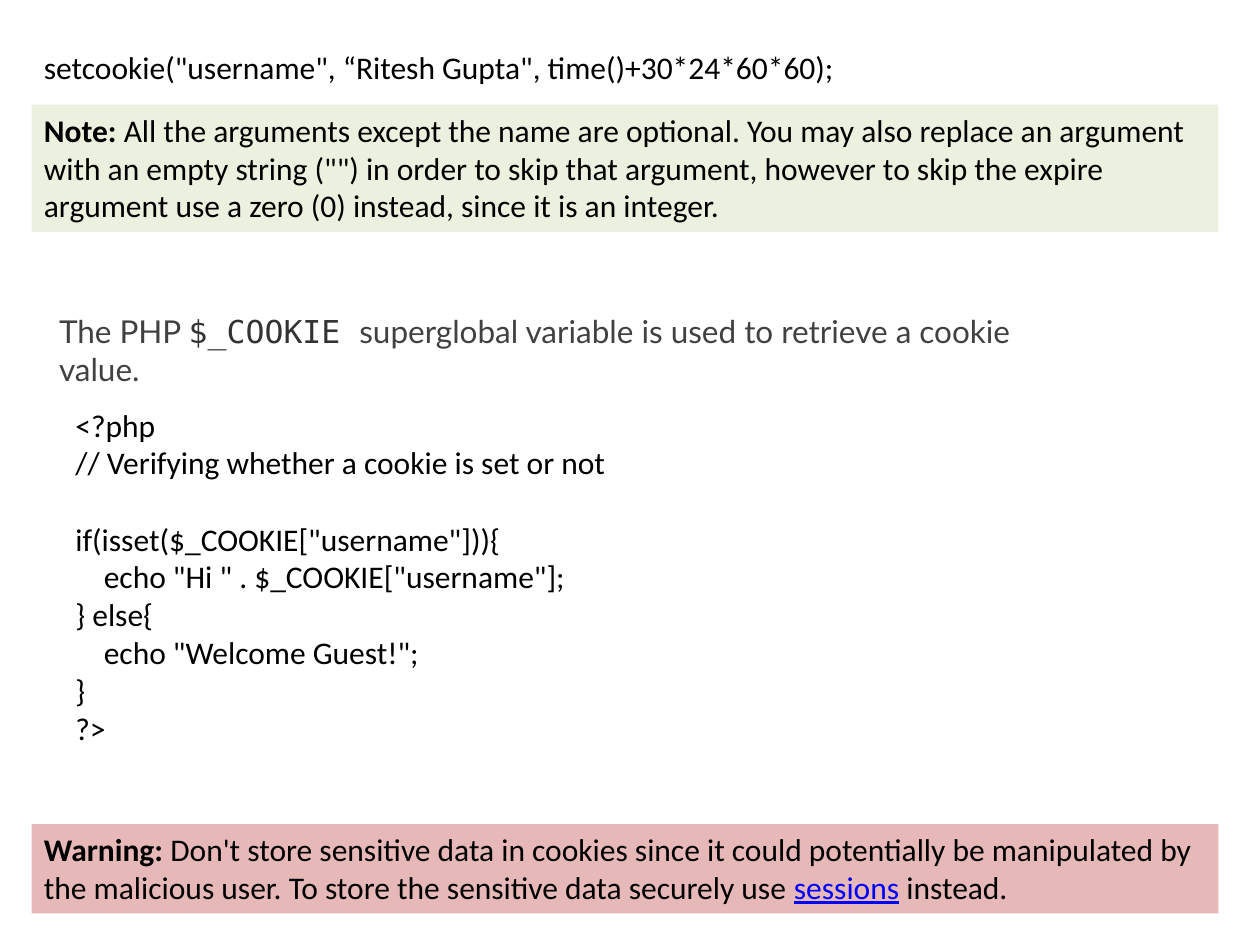
from pptx import Presentation
from pptx import util as u
from pptx.dml.color import RGBColor
from pptx.enum import shapes, text

BLACK = RGBColor(0x00, 0x00, 0x00)
BLUE = RGBColor(0x00, 0x00, 0xFF)
GREY = RGBColor(0x41, 0x41, 0x41)
DARK_GREY = RGBColor(0x33, 0x33, 0x33)
PALE_GREEN = RGBColor(0xEB, 0xF1, 0xDE)
PALE_RED = RGBColor(0xE6, 0xB9, 0xB8)

BOLD = {"bold": True}
LINK = {"color": BLUE, "underline": True}
PROSE = {"name": "Lato", "color": GREY}
MONO = {"name": "DejaVu Sans Mono", "color": DARK_GREY}

CODE = """<?php
// Verifying whether a cookie is set or not

if(isset($_COOKIE["username"])){
    echo "Hi " . $_COOKIE["username"];
} else{
    echo "Welcome Guest!";
}
?>"""


class CookieSlide:
    base = {"name": "Calibri", "size": u.Pt(18), "color": BLACK}
    line_gap = u.Pt(22)

    def __init__(self, prs):
        self.s = prs.slides.add_slide(prs.slide_layouts[6])

    def add_runs(self, p, runs):
        """Fill a paragraph from (text, format) pairs laid over the base style."""
        p.alignment = text.PP_ALIGN.LEFT
        for words, fmt in runs:
            r = p.add_run()
            r.text = words
            for key, value in {**self.base, **fmt}.items():
                if key == "color":
                    r.font.color.rgb = value
                else:
                    setattr(r.font, key, value)

    def text_box(self, box, runs, **frame):
        tf = self.s.shapes.add_textbox(*map(u.Inches, box)).text_frame
        for key, value in {"word_wrap": True, **frame}.items():
            setattr(tf, key, value)
        self.add_runs(tf.paragraphs[0], runs)
        return tf

    def code(self, box, source):
        """One paragraph per line; an empty line becomes space before the next."""
        first, *rest = source.splitlines()
        tf = self.text_box(box, [(first, {})])
        gap = 0
        for line in rest:
            if not line:
                gap += self.line_gap
                continue
            p = tf.add_paragraph()
            if gap:
                p.space_before = u.Emu(gap)
            self.add_runs(p, [(line, {})])
            gap = 0

    def callout(self, top, height, fill, runs):
        box = map(u.Inches, (0.25, top, 9.42, height))
        sp = self.s.shapes.add_shape(shapes.MSO_SHAPE.RECTANGLE, *box)
        sp.shadow.inherit = False
        sp.fill.solid()
        sp.fill.fore_color.rgb = fill
        sp.line.fill.background()
        tf = sp.text_frame
        tf.word_wrap = True
        tf.vertical_anchor = text.MSO_ANCHOR.TOP
        self.add_runs(tf.paragraphs[0], runs)


def main():
    prs = Presentation()
    prs.slide_width, prs.slide_height = u.Inches(10), u.Inches(7.5)
    slide = CookieSlide(prs)

    slide.text_box((0.25, 0.33, 6.58, 0.4), [
        ('setcookie("username", “Ritesh Gupta", time()+30*24*60*60);', {}),
    ])
    slide.callout(0.83, 1.01, PALE_GREEN, [
        ("Note:", BOLD),
        (" All the arguments except the name are optional. You may also replace "
         'an argument with an empty string ("") in order to skip that argument, '
         "however to skip the expire argument use a zero (0) instead, since it "
         "is an integer.", {}),
    ])
    slide.callout(6.54, 0.71, PALE_RED, [
        ("Warning:", BOLD),
        (" Don't store sensitive data in cookies since it could potentially be "
         "manipulated by the malicious user. To store the sensitive data "
         "securely use ", {}),
        ("sessions", LINK),
        (" instead.", {}),
    ])
    slide.text_box((0.37, 2.58, 8.42, 0.4), [
        ("The PHP ", PROSE),
        ("$_COOKIE ", MONO),
        ("superglobal variable is used to retrieve a cookie value.", PROSE),
    ], word_wrap=False, vertical_anchor=text.MSO_ANCHOR.MIDDLE)
    slide.code((0.5, 3.17, 8.08, 2.83), CODE)

    prs.save("out.pptx")


if __name__ == "__main__":
    main()
